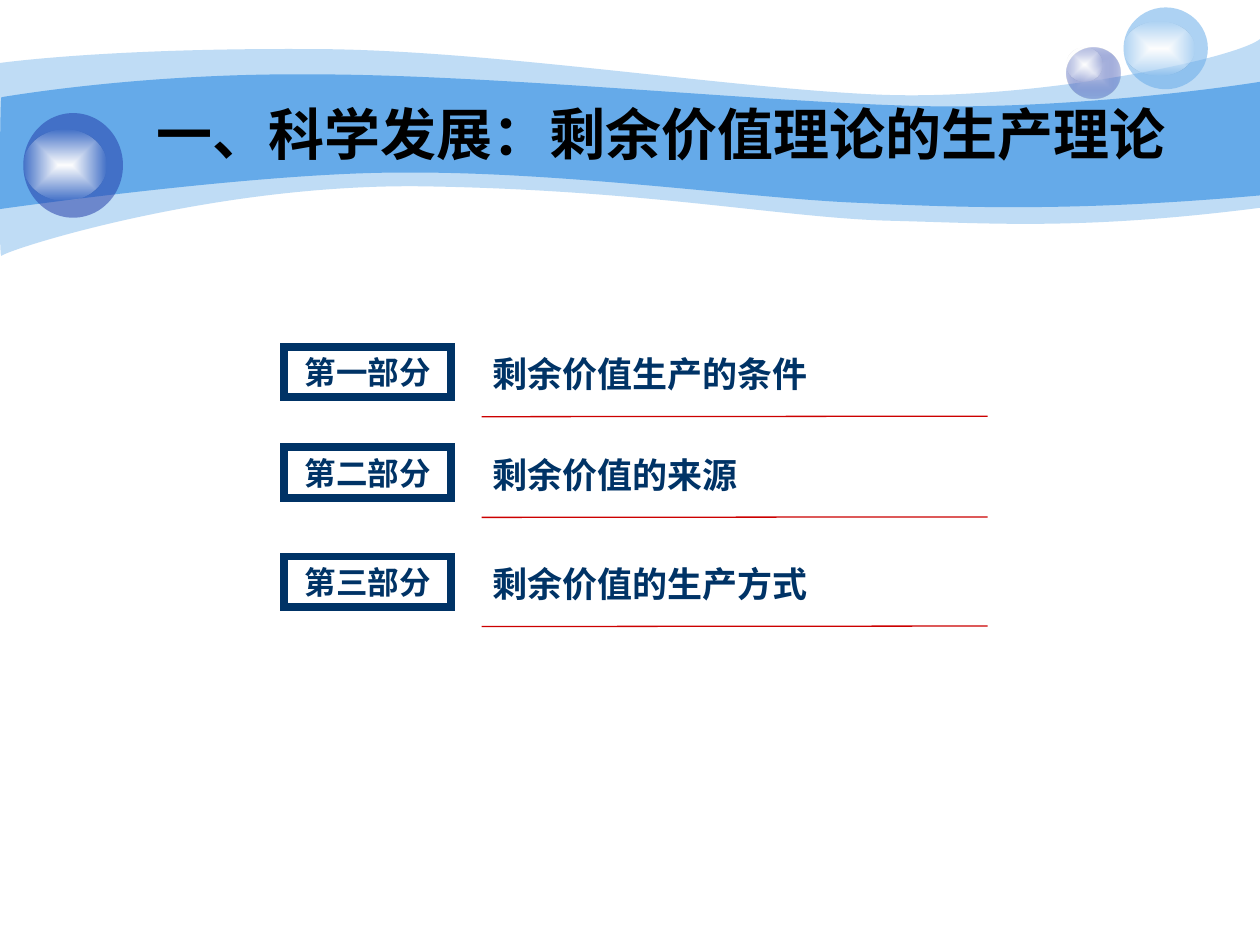
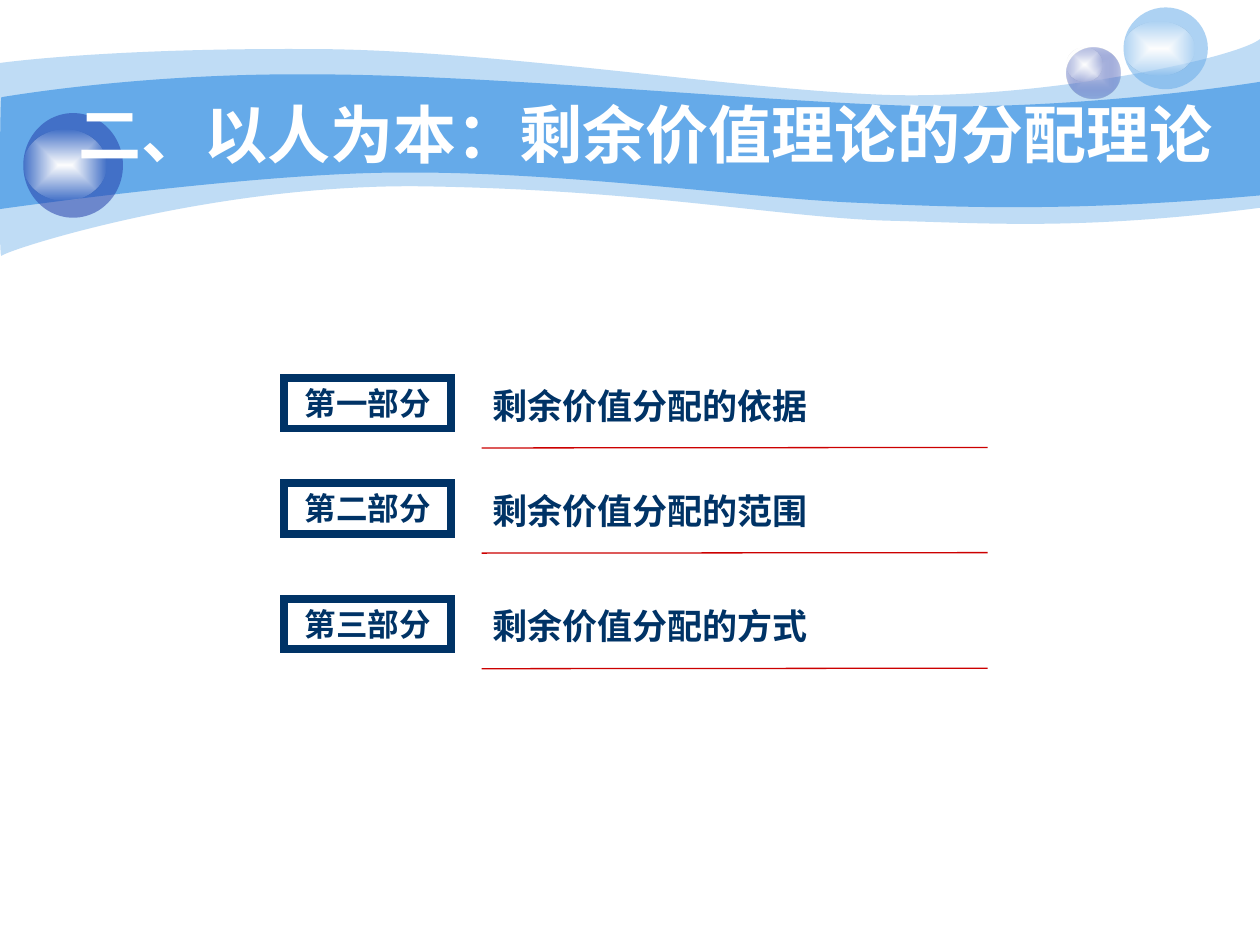
from pptx import Presentation
from pptx import util as u
from pptx.dml.color import RGBColor
from pptx.enum import shapes, text
from pptx.oxml import parse_xml
from pptx.oxml.ns import nsdecls, qn
from lxml import etree

COLORS = {"sky": "65AAE9", "indigo": "233DA9", "lilac": "C7CEE9", "white": "FFFFFF",
          "black": "000000", "navy": "003366", "red": "CC0000"}
UNITS = 1000  # freeform units per centimetre

# Wave outlines in cm: a start point, then curves (6 numbers) and lines (2)
WAVES = [
    ((0, 1.27), [
        (0.61, 1.19, 2.72, 0.97, 6.27, 0.99), (9.8, 0.99, 14.61, 1.78, 17.75, 1.91),
        (20.88, 2.03, 24.89, 1.19, 25.4, 0.79), (25.4, 4.19),
        (21.79, 4.65, 19.99, 4.5, 17.91, 4.45), (15.8, 4.39, 13.08, 3.84, 8.71, 3.76),
        (4.37, 3.66, 0.1, 5.05, 0.03, 5.16), (-0.03, 5.28, 0, 1.91, 0, 1.27)], 41),
    ((0.03, 1.96), [
        (0.05, 1.96, 2.79, 1.47, 6.3, 1.5), (9.8, 1.5, 15.11, 2.03, 18.24, 2.13),
        (21.36, 2.24, 24.79, 1.75, 25.4, 1.65), (25.4, 3.94),
        (21.67, 4.27, 19.43, 4.19, 17.32, 4.09), (15.21, 4.01, 11.35, 3.45, 8.05, 3.48),
        (5.16, 3.48, -0.05, 4.22, -0.03, 4.22), (0, 4.22, 0, 1.96, 0.03, 1.96)], 100),
]

# Bubbles: left, top, width, height in cm, then (colour, opacity) stops from the centre
SHINE = [("white", 100), ("white", 0)]
BUBBLES = [
    (21.51, 0.96, 1.07, 1.02, [("lilac", 100), ("indigo", 31)]),
    (21.51, 0.96, 0.71, 0.69, SHINE),
    (22.65, 0.15, 1.7, 1.65, [("sky", 53)]),
    (22.65, 0.43, 1.42, 1.09, SHINE),
    (0.47, 2.28, 2.01, 2.11, [("indigo", 53)]),
    (0.47, 2.62, 1.68, 1.42, SHINE),
]

SLIDES = [
    {"title": "一、科学发展：剩余价值理论的生产理论", "size": 32, "color": "black",
     "left": 2.54, "width": 21.59,
     "parts": [(6.99, "第一部分", "剩余价值生产的条件"),
               (9.02, "第二部分", "剩余价值的来源"),
               (11.22, "第三部分", "剩余价值的生产方式")]},
    {"title": "二、以人为本：剩余价值理论的分配理论", "size": 36, "color": "white",
     "left": 1.27, "width": 23.5,
     "parts": [(7.62, "第一部分", "剩余价值分配的依据"),
               (9.74, "第二部分", "剩余价值分配的范围"),
               (12.07, "第三部分", "剩余价值分配的方式")]},
]


def paint(sp, stops):
    """Fill with one translucent colour, or a rectangular gradient; no line or shadow."""
    clrs = [f'<a:srgbClr val="{COLORS[c]}"><a:alpha val="{a * 1000}"/></a:srgbClr>'
            for c, a in stops]
    ns = nsdecls("a")
    if len(clrs) == 1:
        xml = f"<a:solidFill {ns}>{clrs[0]}</a:solidFill>"
    else:
        xml = (f'<a:gradFill {ns} rotWithShape="1"><a:gsLst><a:gs pos="0">{clrs[0]}</a:gs>'
               f'<a:gs pos="100000">{clrs[1]}</a:gs></a:gsLst><a:path path="rect">'
               '<a:fillToRect l="50000" t="50000" r="50000" b="50000"/></a:path></a:gradFill>')
    sp._element.spPr.insert(2, parse_xml(xml))
    sp.line.fill.background()
    sp.shadow.inherit = False


def write(sp, words, size, font, color, align, anchor):
    """Put one bold run into a shape."""
    tf = sp.text_frame
    tf.word_wrap = True
    tf.vertical_anchor = anchor
    p = tf.paragraphs[0]
    p.alignment = align
    r = p.add_run()
    r.text = words
    r.font.size = u.Pt(size)
    r.font.name = font
    r.font.bold = True
    r.font.color.rgb = RGBColor.from_string(COLORS[color])
    return tf


prs = Presentation()
prs.slide_width, prs.slide_height = u.Cm(25.4), u.Cm(19.05)

for item in SLIDES:
    s = prs.slides.add_slide(prs.slide_layouts[6])

    # Wave bands: straight segments first, then bent into curves
    for start, segments, opacity in WAVES:
        ends = [start] + [seg[-2:] for seg in segments]
        pts = [(round(x * UNITS), round(y * UNITS)) for x, y in ends]
        origin = [min(axis) for axis in zip(*pts)]
        fb = s.shapes.build_freeform(*pts[0], scale=u.Cm(1) / UNITS)
        fb.add_line_segments(pts[1:], close=True)
        sp = fb.convert_to_shape()
        for line, seg in zip(list(sp._element.iter(qn("a:lnTo"))), segments):
            if len(seg) == 6:
                line.tag = qn("a:cubicBezTo")
                line.clear()
                for i in (0, 2, 4):
                    etree.SubElement(line, qn("a:pt"),
                                     x=str(round(seg[i] * UNITS) - origin[0]),
                                     y=str(round(seg[i + 1] * UNITS) - origin[1]))
        paint(sp, [("sky", opacity)])

    # Bubbles
    for *box, stops in BUBBLES:
        sp = s.shapes.add_shape(shapes.MSO_SHAPE.OVAL, *map(u.Cm, box))
        paint(sp, stops)

    # Title
    sp = s.shapes.add_textbox(u.Cm(item["left"]), u.Cm(1.9), u.Cm(item["width"]), u.Cm(1.57))
    write(sp, item["title"], item["size"], "Arial", item["color"],
          text.PP_ALIGN.CENTER, text.MSO_ANCHOR.MIDDLE)

    # Parts: framed label, topic and rule
    for top, label, topic in item["parts"]:
        sp = s.shapes.add_shape(shapes.MSO_SHAPE.RECTANGLE,
                                u.Cm(5.72), u.Cm(top), u.Cm(3.38), u.Cm(1.02))
        sp.fill.background()
        sp.line.color.rgb = RGBColor.from_string(COLORS["navy"])
        sp.line.width = u.Pt(4.5)
        etree.SubElement(sp.line._ln, qn("a:miter"), lim="800000")
        sp.shadow.inherit = False
        write(sp, label, 18, "Times New Roman", "navy",
              text.PP_ALIGN.CENTER, text.MSO_ANCHOR.TOP)

        rule = s.shapes.add_connector(shapes.MSO_CONNECTOR.STRAIGHT, u.Cm(9.71),
                                      u.Cm(top + 1.41), u.Cm(19.91), u.Cm(top + 1.4))
        rule.line.color.rgb = RGBColor.from_string(COLORS["red"])
        rule.line.width = u.Pt(0.75)
        etree.SubElement(rule._element.spPr, qn("a:effectLst"))

        sp = s.shapes.add_textbox(u.Cm(9.92), u.Cm(top), u.Cm(10.03), u.Cm(1.12))
        tf = write(sp, topic, 20, "Times New Roman", "navy",
                   text.PP_ALIGN.LEFT, text.MSO_ANCHOR.TOP)
        tf.margin_left = tf.margin_right = 0

prs.save("out.pptx")
